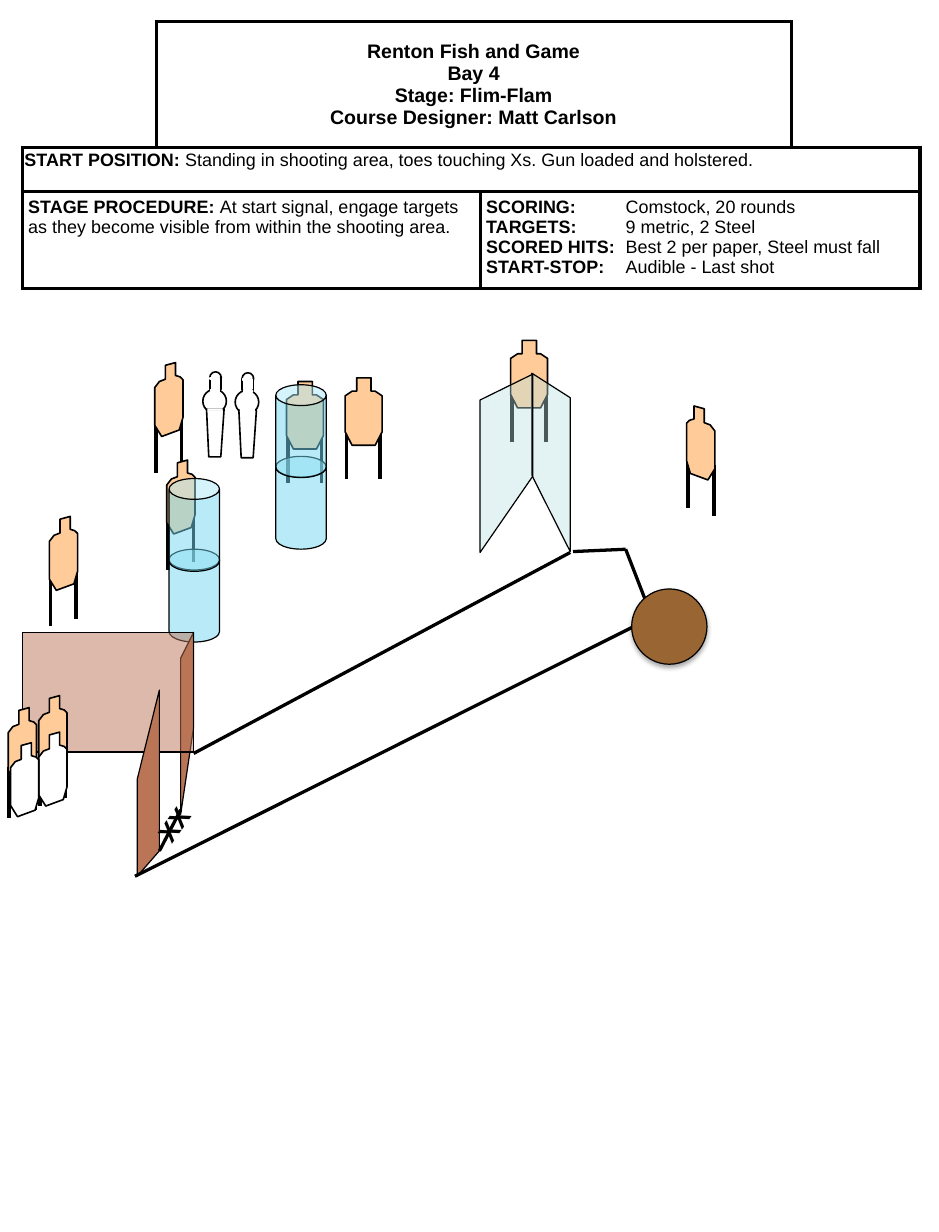
"""Build a one-page shooting stage sheet: briefing table above a course diagram."""
from pptx import Presentation
from pptx.dml.color import RGBColor
from pptx.enum.shapes import MSO_CONNECTOR, MSO_SHAPE
from pptx.enum.text import MSO_ANCHOR, PP_ALIGN
from pptx.oxml import parse_xml
from pptx.oxml.ns import nsdecls, qn
from pptx.oxml.xmlchemy import OxmlElement
from pptx.util import Cm, Pt

BLACK, WHITE, TAN, RUST = "000000", "FFFFFF", "FFCC99", "BA7556"
GLASS, WATER, BROWN = "BBE0E3", "73D9F1", "996633"

prs = Presentation()
prs.slide_width, prs.slide_height = Cm(20.32), Cm(26.67)
s = prs.slides.add_slide(prs.slide_layouts[6])


def paint(sp, fill=None, line=BLACK, width=0.75, alpha=100):
    """Set fill, opacity and line of a shape, or the line of a connector."""
    if line:
        sp.line.color.rgb = RGBColor.from_string(line)
        sp.line.width = Pt(width)
    else:
        sp.line.fill.background()
    if fill is None:
        sp._element.spPr.append(OxmlElement("a:effectLst"))
        return
    sp.fill.solid()
    sp.fill.fore_color.rgb = RGBColor.from_string(fill)
    sp.shadow.inherit = False
    if alpha < 100:
        clr = sp._element.spPr.find(qn("a:solidFill"))[0]
        clr.append(parse_xml(f'<a:alpha {nsdecls("a")} val="{alpha * 1000}"/>'))


def outline(points, fill, width=0.75, alpha=100, x=0, y=0, legs=()):
    """Draw legs and a closed outline, shifted to x, y."""
    for leg_x, top, bottom in legs:
        leg = s.shapes.add_connector(MSO_CONNECTOR.STRAIGHT, Cm(x + leg_x), Cm(y + top),
                                     Cm(x + leg_x), Cm(y + bottom))
        paint(leg, width=2.25)
    pts = [(Cm(x + px), Cm(y + py)) for px, py in points]
    fb = s.shapes.build_freeform(*pts[0])
    fb.add_line_segments(pts[1:], close=True)
    paint(fb.convert_to_shape(), fill, width=width, alpha=alpha)


slanted = [(0.23, 0.06), (0.45, 0), (0.45, 0.28), (0.55, 0.31), (0.61, 0.37), (0.61, 1.19),
           (0.53, 1.46), (0.15, 1.6), (0, 1.36), (0, 0.54), (0.1, 0.41), (0.23, 0.36)]
slanted_legs = [(0.02, 1.28, 2.38), (0.58, 1.11, 2.21)]
mirrored = [(0.61 - x, y) for x, y in slanted]
mirrored_legs = [(0.61 - x, top, bottom) for x, top, bottom in slanted_legs]
straight = [(0.25, 0), (0.56, 0), (0.56, 0.29), (0.65, 0.29), (0.8, 0.39), (0.8, 1.17),
            (0.65, 1.46), (0.15, 1.46), (0, 1.17), (0, 0.39), (0.15, 0.29), (0.25, 0.29)]
straight_legs = [(0.03, 1.09, 2.2), (0.76, 1.09, 2.2)]

tbl = s.shapes.add_table(3, 4, Cm(0.48), Cm(0.46), Cm(19.43), Cm(5.79)).table
tbl.first_row = tbl.horz_banding = False
for col, width in zip(tbl.columns, (2.9, 7.01, 6.73, 2.79)):
    col.width = Cm(width)
for row, height in zip(tbl.rows, (2.74, 0.94, 2.11)):
    row.height = Cm(height)
for r1, c1, c2 in [(0, 1, 2), (1, 0, 3), (2, 0, 1), (2, 2, 3)]:
    tbl.cell(r1, c1).merge(tbl.cell(r1, c2))

corners = {(0, 0): "RB", (0, 3): "LB"}
for i in range(3):
    for j in range(4):
        cell = tbl.cell(i, j)
        sides = corners.get((i, j), "RTB" if cell.is_spanned else "LRTB")
        for side in sides:
            cell._tc.get_or_add_tcPr().append(parse_xml(
                f'<a:ln{side} {nsdecls("a")} w="28575"><a:solidFill>'
                f'<a:srgbClr val="{BLACK}"/></a:solidFill></a:ln{side}>'))
        cell.fill.solid()
        cell.fill.fore_color.rgb = RGBColor.from_string(WHITE)
        cell.margin_left = cell.margin_right = Cm(0.05 if i == 1 else 0.13)
        cell.margin_top = cell.margin_bottom = Cm(0.1 if i == 1 else 0.13)

briefing = [
    (0, 1, 12, [("Renton Fish and Game\vBay 4\vStage: Flim-Flam\v"
                 "Course Designer: Matt Carlson", "")]),
    (1, 0, 11, [("START POSITION:", " Standing in shooting area, toes touching Xs. "
                 "Gun loaded and holstered.")]),
    (2, 0, 11, [("STAGE PROCEDURE: ", "At start signal, engage targets as they become "
                 "visible from within the shooting area.")]),
    (2, 2, 11, [("SCORING:", "\tComstock, 20 rounds"),
                ("TARGETS:", "\t9 metric, 2 Steel"),
                ("SCORED HITS:", "\tBest 2 per paper, Steel must fall"),
                ("START-STOP:", "\tAudible - Last shot")]),
]
for i, j, size, lines in briefing:
    tf = tbl.cell(i, j).text_frame
    for n, (label, detail) in enumerate(lines):
        p = tf.paragraphs[0] if n == 0 else tf.add_paragraph()
        if detail.startswith("\t"):
            p._p.get_or_add_pPr().append(parse_xml(
                f'<a:tabLst {nsdecls("a")}><a:tab pos="{Cm(3.02)}" algn="l"/></a:tabLst>'))
        p.text = label
        bold_runs = len(p.runs)
        if detail:
            p.add_run().text = detail
        for k, r in enumerate(p.runs):
            r.font.name, r.font.size, r.font.bold = "Arial", Pt(size), k < bold_runs
            r.font.color.rgb = RGBColor.from_string(BLACK)
title = tbl.cell(0, 1)
title.vertical_anchor = MSO_ANCHOR.MIDDLE
title.text_frame.paragraphs[0].alignment = PP_ALIGN.CENTER
tbl.cell(1, 0).text_frame.paragraphs[0].line_spacing = 0.9

for points, legs, places in [
    (slanted, slanted_legs, [(3.35, 7.85), (1.07, 11.18), (3.61, 9.96)]),
    (mirrored, mirrored_legs, [(14.86, 8.79)]),
    (straight, straight_legs, [(11.05, 7.37), (6.2, 8.26), (7.47, 8.18)]),
]:
    for x, y in places:
        outline(points, TAN, 1, x=x, y=y, legs=legs)

for x, y in [(3.66, 11.89), (3.66, 10.36), (5.97, 9.88), (5.97, 8.33)]:
    barrel = s.shapes.add_shape(MSO_SHAPE.CAN, Cm(x), Cm(y), Cm(1.09), Cm(2.01))
    barrel.adjustments[0] = 0.413
    paint(barrel, WATER, alpha=50)

for points, fill, alpha in [
    ([(4.19, 13.69), (4.19, 15.75), (3.91, 17.63), (3.91, 14.25)], RUST, 100),
    ([(11.51, 8.08), (11.51, 10.29), (12.34, 11.94), (12.34, 8.61)], GLASS, 40),
    ([(0.48, 13.69), (4.19, 13.69), (4.19, 16.28), (0.48, 16.28)], RUST, 50),
    ([(2.97, 16.87), (3.45, 14.94), (3.45, 18.42), (2.97, 18.97)], RUST, 100),
    ([(11.53, 8.1), (11.53, 10.31), (10.39, 11.96), (10.39, 8.66)], GLASS, 40),
]:
    outline(points, fill, alpha=alpha)

for x1, y1, x2, y2 in [(3.45, 18.42, 3.91, 17.53), (4.19, 16.31, 12.34, 11.96),
                       (13.54, 11.89, 12.4, 11.94), (14.12, 13.39, 13.54, 11.89),
                       (2.92, 18.97, 14.12, 13.36)]:
    fault_line = s.shapes.add_connector(MSO_CONNECTOR.STRAIGHT, Cm(x1), Cm(y1), Cm(x2), Cm(y2))
    paint(fault_line, width=2)

marks = s.shapes.add_textbox(Cm(3.05), Cm(17.22), Cm(1.63), Cm(0.94))
marks.rotation = 305.1
marks.text_frame.word_wrap = True
marks.text_frame.text = "XX"
font = marks.text_frame.paragraphs[0].runs[0].font
font.name, font.size, font.bold = "Arial", Pt(16), True
font.color.rgb = RGBColor.from_string(BLACK)

skirt = [(0.08, 0.81), (0.46, 0.81), (0.39, 1.84), (0.13, 1.84)]
popper = [
    (MSO_SHAPE.OVAL, 0.15, 0, 0.25, 0.25, BLACK),
    (MSO_SHAPE.OVAL, 0, 0.38, 0.51, 0.51, BLACK),
    (None, 0, 0, 0, 0, BLACK),
    (MSO_SHAPE.RECTANGLE, 0.15, 0.13, 0.25, 0.25, BLACK),
    (MSO_SHAPE.RECTANGLE, 0.1, 0.79, 0.33, 0.05, None),
    (MSO_SHAPE.RECTANGLE, 0.18, 0.38, 0.18, 0.05, WHITE),
    (MSO_SHAPE.RECTANGLE, 0.16, 0.13, 0.2, 0.03, WHITE),
]
for x, y in [(4.39, 8.05), (5.09, 8.07)]:
    for kind, dx, dy, w, h, line in popper:
        if kind is None:
            outline(skirt, WHITE, 1, x=x, y=y)
        else:
            sp = s.shapes.add_shape(kind, Cm(x + dx), Cm(y + dy), Cm(w), Cm(h))
            paint(sp, WHITE, line, 1)

for x, y, fill, legs in [(0.18, 15.32, TAN, slanted_legs), (0.84, 15.06, TAN, slanted_legs),
                         (0.84, 15.85, WHITE, ()), (0.23, 16.08, WHITE, ())]:
    outline(slanted, fill, 1, x=x, y=y, legs=legs)

drum = s.shapes.add_shape(MSO_SHAPE.OVAL, Cm(13.67), Cm(12.75), Cm(1.63), Cm(1.63))
paint(drum, BROWN)
drum._element.spPr.find(qn("a:effectLst")).append(parse_xml(
    f'<a:outerShdw {nsdecls("a")} blurRad="{Pt(3.1)}" dist="{Pt(1.8)}" dir="5400000" '
    f'rotWithShape="0"><a:srgbClr val="{BLACK}"><a:alpha val="35000"/></a:srgbClr></a:outerShdw>'))

prs.save("out.pptx")
